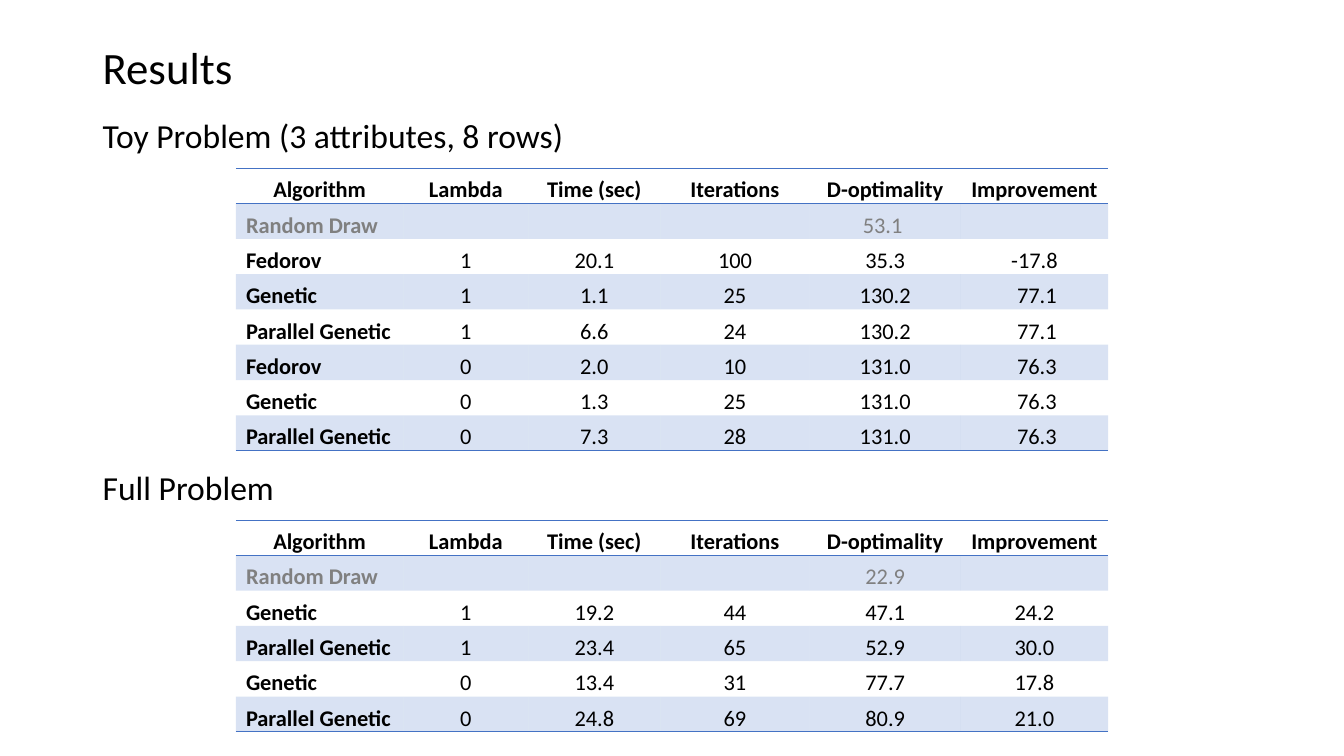
"""Build the results slide comparing design algorithms on two problems."""
from dataclasses import dataclass

from lxml import etree
from pptx import Presentation
from pptx.dml.color import RGBColor
from pptx.enum.text import MSO_ANCHOR, PP_ALIGN
from pptx.oxml.ns import qn
from pptx.util import Inches, Pt

LEFT, CENTER = PP_ALIGN.LEFT, PP_ALIGN.CENTER
TOP, MIDDLE = MSO_ANCHOR.TOP, MSO_ANCHOR.MIDDLE
PLAIN_TABLE_STYLE = "{2D5ABB26-0587-4C30-8999-92F81FD0307C}"

HEADINGS = [
    ("Results", 0.4, "title_size"),
    ("Toy Problem (3 attributes, 8 rows)", 1.14, "heading_size"),
    ("Full Problem", 4.63, "heading_size"),
]
HEADER = ("Algorithm", "Lambda", "Time (sec)", "Iterations", "D-optimality", "Improvement")
BASELINE = "Random Draw"
TOY_RESULTS = [
    (BASELINE, "", "", "", "53.1 ", ""),
    ("Fedorov", "1", "20.1", "100", "35.3", "-17.8"),
    ("Genetic", "1", "1.1", "25", "130.2", " 77.1"),
    ("Parallel Genetic", "1", "6.6", "24", "130.2", " 77.1"),
    ("Fedorov", "0", "2.0", "10", "131.0", " 76.3"),
    ("Genetic", "0", "1.3", "25", "131.0", " 76.3"),
    ("Parallel Genetic", "0", "7.3", "28", "131.0", " 76.3"),
]
FULL_RESULTS = [
    (BASELINE, "", "", "", "22.9", ""),
    ("Genetic", "1", "19.2", "44", "47.1", "24.2"),
    ("Parallel Genetic", "1", "23.4", "65", "52.9", "30.0"),
    ("Genetic", "0", "13.4", "31", "77.7", "17.8"),
    ("Parallel Genetic", "0", "24.8", "69", "80.9", "21.0"),
]
TABLES = [(TOY_RESULTS, 1.67), (FULL_RESULTS, 5.16)]
COLUMN_WIDTHS = (1.66, 1.24, 1.31, 1.48, 1.5, 1.46)
ROW_HEIGHT = 0.35
TABLE_LEFT = 2.34
HEADING_LEFT, HEADING_WIDTH = 0.92, 11.5


@dataclass(frozen=True)
class Theme:
    """Hold the colours, font and type sizes of the slide."""
    font: str = "Calibri"
    text: str = "000000"
    muted: str = "808080"
    accent: str = "4472C4"
    band_percent: int = 20
    title_size: int = 32
    heading_size: int = 24
    table_size: int = 16


THEME = Theme()


def style_paragraph(paragraph, size, color, bold=False, align=LEFT, spacing=0.9):
    """Apply alignment, spacing and run formatting to a paragraph."""
    paragraph.alignment = align
    paragraph.line_spacing = spacing
    for run in paragraph.runs:
        run.font.name = THEME.font
        run.font.size = Pt(size)
        run.font.bold = bold
        run.font.color.rgb = RGBColor.from_string(color)


def add_heading(slide, text, top, size):
    """Add one heading line at the left margin."""
    box = slide.shapes.add_textbox(
        Inches(HEADING_LEFT), Inches(top), Inches(HEADING_WIDTH), Inches(size / 72 + 0.2))
    frame = box.text_frame
    frame.word_wrap = True
    frame.vertical_anchor = TOP
    frame.text = text
    style_paragraph(frame.paragraphs[0], size, THEME.text)


def add_border(cell, side):
    """Draw an accent line on one side of a cell."""
    properties = cell._tc.get_or_add_tcPr()
    line = etree.SubElement(properties, qn(f"a:{side}"), w=str(Pt(1)))
    fill = etree.SubElement(line, qn("a:solidFill"))
    etree.SubElement(fill, qn("a:srgbClr"), val=THEME.accent)


def fill_band(cell):
    """Tint a cell with the translucent accent colour."""
    cell.fill.solid()
    cell.fill.fore_color.rgb = RGBColor.from_string(THEME.accent)
    color = cell._tc.tcPr.find(qn("a:solidFill")).find(qn("a:srgbClr"))
    etree.SubElement(color, qn("a:alpha"), val=str(THEME.band_percent * 1000))


def format_cell(cell, text, row, column, last_row, muted):
    """Write a cell and format it by its place in the table."""
    is_header = row == 0
    cell.margin_top = cell.margin_bottom = 0
    cell.vertical_anchor = MIDDLE
    if is_header:
        add_border(cell, "lnT")
    if row in (0, last_row):
        add_border(cell, "lnB")
    if row % 2:
        fill_band(cell)
    else:
        cell.fill.background()
    if text:
        cell.text_frame.text = text
        style_paragraph(
            cell.text_frame.paragraphs[0],
            THEME.table_size,
            THEME.muted if muted else THEME.text,
            bold=is_header or column == 0,
            align=CENTER if is_header or column else LEFT,
            spacing=1.3,
        )


def add_results_table(slide, results, top):
    """Add a banded table of results under the shared header."""
    rows = [HEADER, *results]
    table = slide.shapes.add_table(
        len(rows), len(HEADER), Inches(TABLE_LEFT), Inches(top),
        Inches(sum(COLUMN_WIDTHS)), Inches(ROW_HEIGHT * len(rows))).table
    table.first_row = table.horz_banding = False
    table._tbl.tblPr.find(qn("a:tableStyleId")).text = PLAIN_TABLE_STYLE
    for column, width in zip(table.columns, COLUMN_WIDTHS):
        column.width = Inches(width)
    for row, values in enumerate(rows):
        table.rows[row].height = Inches(ROW_HEIGHT)
        for column, text in enumerate(values):
            format_cell(table.cell(row, column), text, row, column,
                        len(results), values[0] == BASELINE)


def main():
    """Create and save the presentation."""
    presentation = Presentation()
    presentation.slide_width = Inches(13.33)
    presentation.slide_height = Inches(7.5)
    slide = presentation.slides.add_slide(presentation.slide_layouts[6])
    for text, top, size_name in HEADINGS:
        add_heading(slide, text, top, getattr(THEME, size_name))
    for results, top in TABLES:
        add_results_table(slide, results, top)
    presentation.save("out.pptx")


if __name__ == "__main__":
    main()
